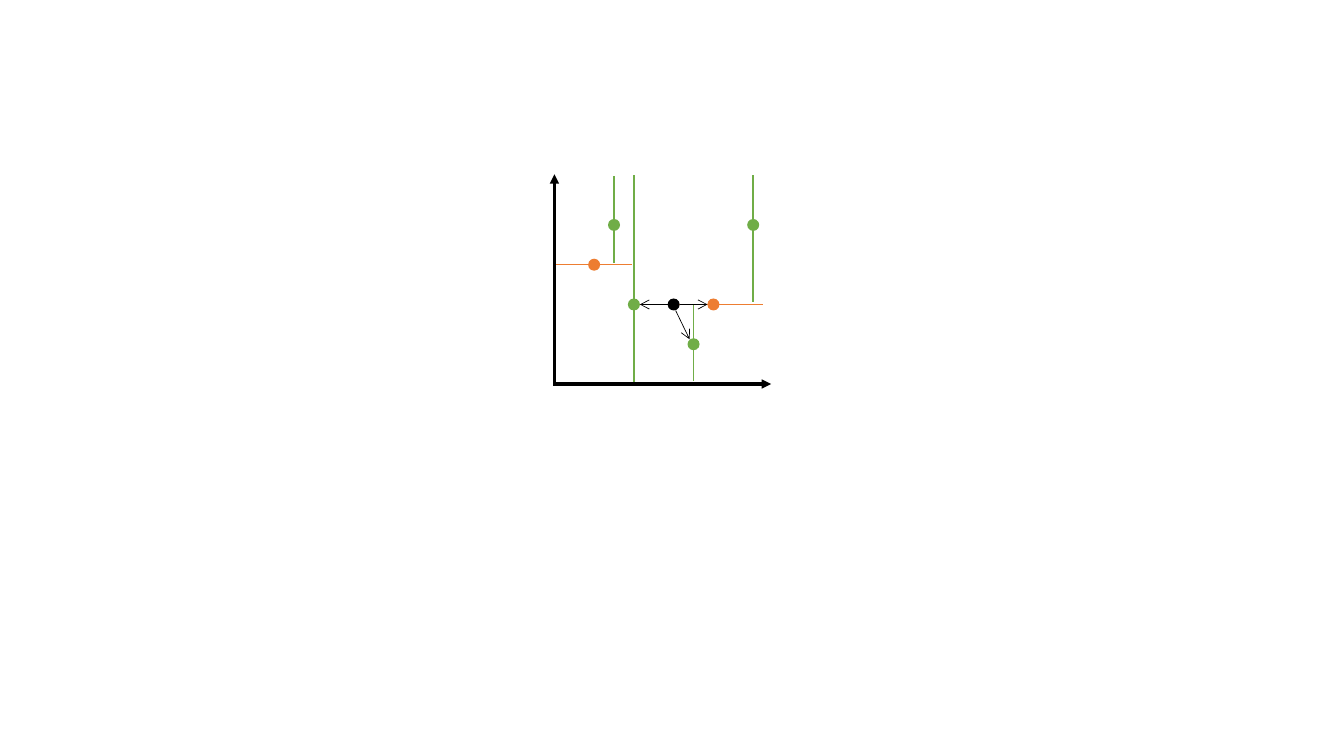
from lxml import etree
from pptx import Presentation
from pptx.dml.color import RGBColor
from pptx.enum.shapes import MSO_CONNECTOR, MSO_SHAPE
from pptx.oxml.ns import qn
from pptx.util import Pt

STRAIGHT = MSO_CONNECTOR.STRAIGHT
OVAL = MSO_SHAPE.OVAL
BLACK = RGBColor(0x00, 0x00, 0x00)
GREEN = RGBColor(0x70, 0xAD, 0x47)
ORANGE = RGBColor(0xED, 0x7D, 0x31)

AXES = [((-0.05, 0), (10.9, 0)), ((0, -0.05), (0, 10.55))]
TREE_POINTS = [
    ((4, 4), GREEN),
    ((7, 2), GREEN),
    ((8, 4), ORANGE),
    ((10, 8), GREEN),
    ((3, 8), GREEN),
    ((2, 6), ORANGE),
]
SPLIT_LINES = [
    ((4, 10.5), (4, 0.1), GREEN),
    ((0.1, 6), (3.9, 6), ORANGE),
    ((4.3, 4), (10.5, 4), ORANGE),
    ((3, 10.45), (3, 6.1), GREEN),
    ((10, 10.5), (10, 4.1), GREEN),
    ((7, 3.95), (7, 0.15), GREEN),
]
QUERY_POINT = (6, 4)
SEARCH_ARROWS = [
    ((6.1, 3.7), (6.8, 2.25)),
    ((5.7, 4), (4.3, 4)),
    ((6.3, 4), (7.7, 4)),
]

ORIGIN_X, ORIGIN_Y = 396, 274.3
UNIT = 14.2
DOT_SIZE = 8.6


def locate(point):
    return ORIGIN_X + point[0] * UNIT, ORIGIN_Y - point[1] * UNIT


def add_line(slide, start, end, color, width, arrowhead=None):
    ends = [Pt(value) for value in locate(start) + locate(end)]
    connector = slide.shapes.add_connector(STRAIGHT, *ends)
    connector.line.color.rgb = color
    connector.line.width = Pt(width)
    properties = connector._element.spPr
    if arrowhead:
        outline = properties.find(qn("a:ln"))
        etree.SubElement(outline, qn("a:tailEnd"), type=arrowhead)
    etree.SubElement(properties, qn("a:effectLst"))


def add_dot(slide, point, color):
    x, y = locate(point)
    shape = slide.shapes.add_shape(
        OVAL, Pt(x - DOT_SIZE / 2), Pt(y - DOT_SIZE / 2), Pt(DOT_SIZE), Pt(DOT_SIZE)
    )
    shape.shadow.inherit = False
    shape.fill.solid()
    shape.fill.fore_color.rgb = color
    shape.line.fill.background()


def main():
    presentation = Presentation()
    presentation.slide_width = Pt(960)
    presentation.slide_height = Pt(540)
    slide = presentation.slides.add_slide(presentation.slide_layouts[6])

    for start, end in AXES:
        add_line(slide, start, end, BLACK, 2.25, "triangle")
    for point, color in TREE_POINTS:
        add_dot(slide, point, color)
    for start, end, color in SPLIT_LINES:
        add_line(slide, start, end, color, 1)
    add_dot(slide, QUERY_POINT, BLACK)
    for start, end in SEARCH_ARROWS:
        add_line(slide, start, end, BLACK, 0.5, "arrow")

    presentation.save("out.pptx")


if __name__ == "__main__":
    main()
